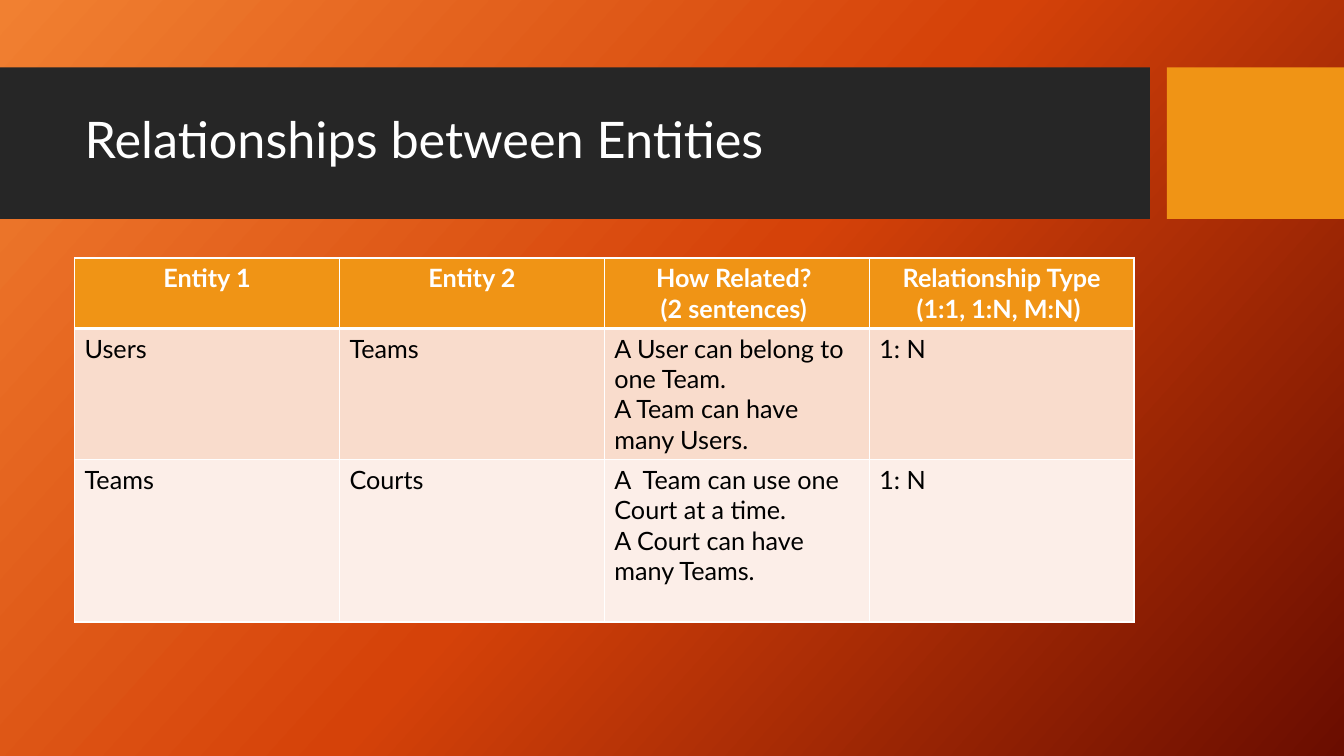
import copy

import lxml.etree
import pptx
import pptx.dml.color
import pptx.enum.shapes
import pptx.enum.text
import pptx.oxml.ns
import pptx.util
from pptx.util import Cm

FONT = "Lato"
WHITE, BLACK, ORANGE, CHARCOAL = "FFFFFF", "000000", "F09415", "262626"
CENTER = pptx.enum.text.PP_ALIGN.CENTER
LEFT = pptx.enum.text.PP_ALIGN.LEFT

HEADINGS = [
    ["Entity 1"],
    ["Entity 2"],
    ["How Related? ", "(2 sentences) "],
    ["Relationship Type", "(1:1, 1:N, M:N) "],
]
RELATIONSHIPS = [
    [["Users"], ["Teams"],
     ["A User can belong to one Team.", "A Team can have many Users."], ["1: N"]],
    [["Teams"], ["Courts"],
     ["A  Team can use one Court at a time.", "A Court can have many Teams."], ["1: N"]],
]
ROW_FILLS = ["F9DCCC", "FCEEE8"]
ROW_HEIGHTS = [1.75, 3.3, 4.09]


def rgb(hex_colour):
    return pptx.dml.color.RGBColor.from_string(hex_colour)


def add_run(paragraph, words, size, colour, bold=False):
    run = paragraph.add_run()
    run.text = words
    run.font.name = FONT
    run.font.size = pptx.util.Pt(size)
    run.font.bold = bold
    run.font.color.rgb = rgb(colour)


def paint_background(slide, colours, angle):
    fill = slide.background.fill
    fill.gradient()
    fill.gradient_angle = 360 - angle
    stops = next(slide.element.iter(pptx.oxml.ns.qn("a:gsLst")))
    stops.insert(1, copy.deepcopy(stops[0]))
    for index, (stop, colour) in enumerate(zip(fill.gradient_stops, colours)):
        stop.position = index / (len(colours) - 1)
        stop.color.rgb = rgb(colour)


def add_band(slide, left, width, colour):
    band = slide.shapes.add_shape(
        pptx.enum.shapes.MSO_SHAPE.RECTANGLE, Cm(left), Cm(1.7), Cm(width), Cm(3.82))
    band.shadow.inherit = False
    band.fill.solid()
    band.fill.fore_color.rgb = rgb(colour)
    band.line.fill.background()
    slide.shapes.element.insert(2, band.element)


def set_title(slide, words):
    title = slide.shapes.title
    title.left, title.top, title.width, title.height = Cm(1.88), Cm(2.08), Cm(26.7), Cm(3)
    title.text_frame.vertical_anchor = pptx.enum.text.MSO_ANCHOR.MIDDLE
    paragraph = title.text_frame.paragraphs[0]
    paragraph.alignment = LEFT
    paragraph.line_spacing = 0.9
    add_run(paragraph, words, 36, WHITE)


def set_borders(cell, widths):
    properties = cell._tc.get_or_add_tcPr()
    for side, points in widths.items():
        border = lxml.etree.SubElement(
            properties, pptx.oxml.ns.qn(f"a:ln{side}"), w=str(pptx.util.Pt(points)))
        solid = lxml.etree.SubElement(border, pptx.oxml.ns.qn("a:solidFill"))
        lxml.etree.SubElement(solid, pptx.oxml.ns.qn("a:srgbClr"), val=WHITE)


def style_cell(cell, colour, top=1, bottom=1):
    set_borders(cell, {"L": 1, "R": 1, "T": top, "B": bottom})
    cell.fill.solid()
    cell.fill.fore_color.rgb = rgb(colour)


def fill_heading(cell, lines):
    style_cell(cell, ORANGE, bottom=3)
    paragraph = cell.text_frame.paragraphs[0]
    paragraph.alignment = CENTER
    for index, line in enumerate(lines):
        if index:
            paragraph.add_line_break()
        add_run(paragraph, line, 18, WHITE, bold=True)


def fill_body(cell, sentences, colour, top):
    style_cell(cell, colour, top=top)
    frame = cell.text_frame
    for index, sentence in enumerate(sentences):
        paragraph = frame.add_paragraph() if index else frame.paragraphs[0]
        add_run(paragraph, sentence, 18, BLACK)


def add_relationship_table(slide):
    table = slide.shapes.add_table(
        len(ROW_HEIGHTS), len(HEADINGS), Cm(1.88), Cm(6.5), Cm(26.7), Cm(sum(ROW_HEIGHTS))).table
    for row, height in zip(table.rows, ROW_HEIGHTS):
        row.height = Cm(height)
    for column, lines in enumerate(HEADINGS):
        fill_heading(table.cell(0, column), lines)
    for row, (entries, colour) in enumerate(zip(RELATIONSHIPS, ROW_FILLS), start=1):
        for column, sentences in enumerate(entries):
            fill_body(table.cell(row, column), sentences, colour, top=3 if row == 1 else 1)


def main():
    presentation = pptx.Presentation()
    presentation.slide_width, presentation.slide_height = Cm(33.87), Cm(19.05)
    slide = presentation.slides.add_slide(presentation.slide_layouts[5])
    paint_background(slide, ["F18031", "D54209", "6A0D00"], 42)
    add_band(slide, 0, 28.98, CHARCOAL)
    add_band(slide, 29.41, 4.46, ORANGE)
    set_title(slide, "Relationships between Entities")
    add_relationship_table(slide)
    presentation.save("out.pptx")


if __name__ == "__main__":
    main()
